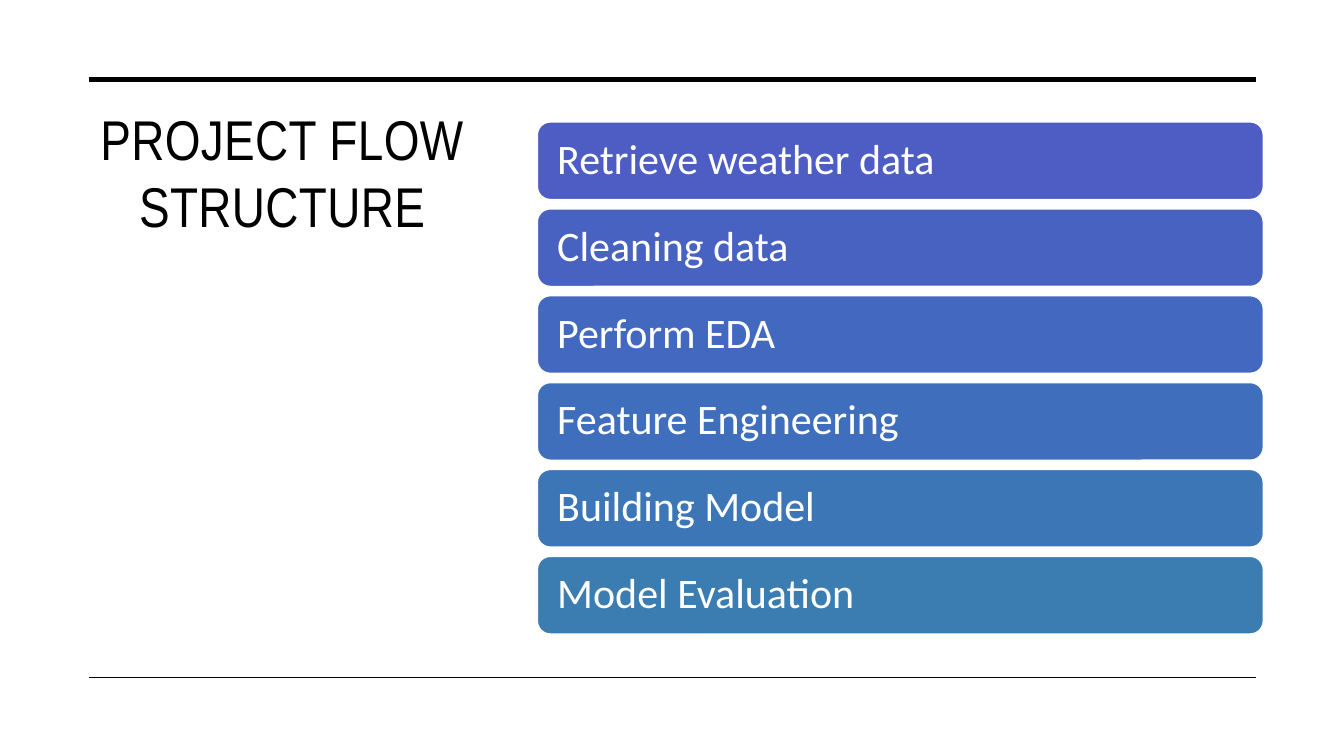
from lxml import etree
from pptx import Presentation
from pptx import util as u
from pptx.dml.color import RGBColor
from pptx.enum import shapes, text
from pptx.oxml.ns import qn

BLACK = RGBColor(0x00, 0x00, 0x00)
WHITE = RGBColor(0xFF, 0xFF, 0xFF)
STEPS = [
    ("Retrieve weather data", RGBColor(0x4D, 0x5D, 0xC3)),
    ("Cleaning data", RGBColor(0x48, 0x62, 0xC1)),
    ("Perform EDA", RGBColor(0x42, 0x68, 0xC0)),
    ("Feature Engineering", RGBColor(0x3F, 0x6F, 0xBC)),
    ("Building Model", RGBColor(0x3D, 0x76, 0xB6)),
    ("Model Evaluation", RGBColor(0x3B, 0x7C, 0xB1)),
]
RULE_LEFT, RULE_RIGHT = u.Inches(0.88), u.Inches(12.46)
STEP_LEFT, STEP_TOP = u.Inches(5.33), u.Inches(1.21)
STEP_WIDTH, STEP_HEIGHT = u.Inches(7.2), u.Inches(0.77)
STEP_PITCH = u.Inches(0.862)

deck = Presentation()
deck.slide_width, deck.slide_height = u.Inches(13.33), u.Inches(7.5)
slide = deck.slides.add_slide(deck.slide_layouts[6])

heading = slide.shapes.add_textbox(u.Inches(0.8), u.Inches(0.99), u.Inches(4), u.Inches(4.82))
heading.text_frame.word_wrap = True
title = heading.text_frame.paragraphs[0]
title.text = "PROJECT FLOW STRUCTURE"
title.alignment = text.PP_ALIGN.CENTER
title.font.name = "Arial Narrow"
title.font.size = u.Pt(40)
title.font.color.rgb = BLACK
title.runs[0]._r.get_or_add_rPr().set("spc", "30")

for height, weight in ((0.79, 3.5), (6.72, 1)):
    rule = slide.shapes.add_connector(
        shapes.MSO_CONNECTOR.STRAIGHT, RULE_LEFT, u.Inches(height), RULE_RIGHT, u.Inches(height))
    rule.line.color.rgb = BLACK
    rule.line.width = u.Pt(weight)
    etree.SubElement(rule._element.spPr, qn("a:effectLst"))

for row, (label, color) in enumerate(STEPS):
    step = slide.shapes.add_shape(
        shapes.MSO_SHAPE.ROUNDED_RECTANGLE,
        STEP_LEFT, STEP_TOP + row * STEP_PITCH, STEP_WIDTH, STEP_HEIGHT)
    step.shadow.inherit = False
    step.fill.solid()
    step.fill.fore_color.rgb = color
    step.line.color.rgb = WHITE
    step.line.width = u.Pt(1)
    frame = step.text_frame
    frame.word_wrap = True
    frame.vertical_anchor = text.MSO_ANCHOR.MIDDLE
    frame.margin_left = frame.margin_right = u.Inches(0.16)
    caption = frame.paragraphs[0]
    caption.text = label
    caption.alignment = text.PP_ALIGN.LEFT
    caption.line_spacing = 0.9
    caption.font.name = "Calibri"
    caption.font.size = u.Pt(30)
    caption.font.color.rgb = WHITE

deck.save("out.pptx")
